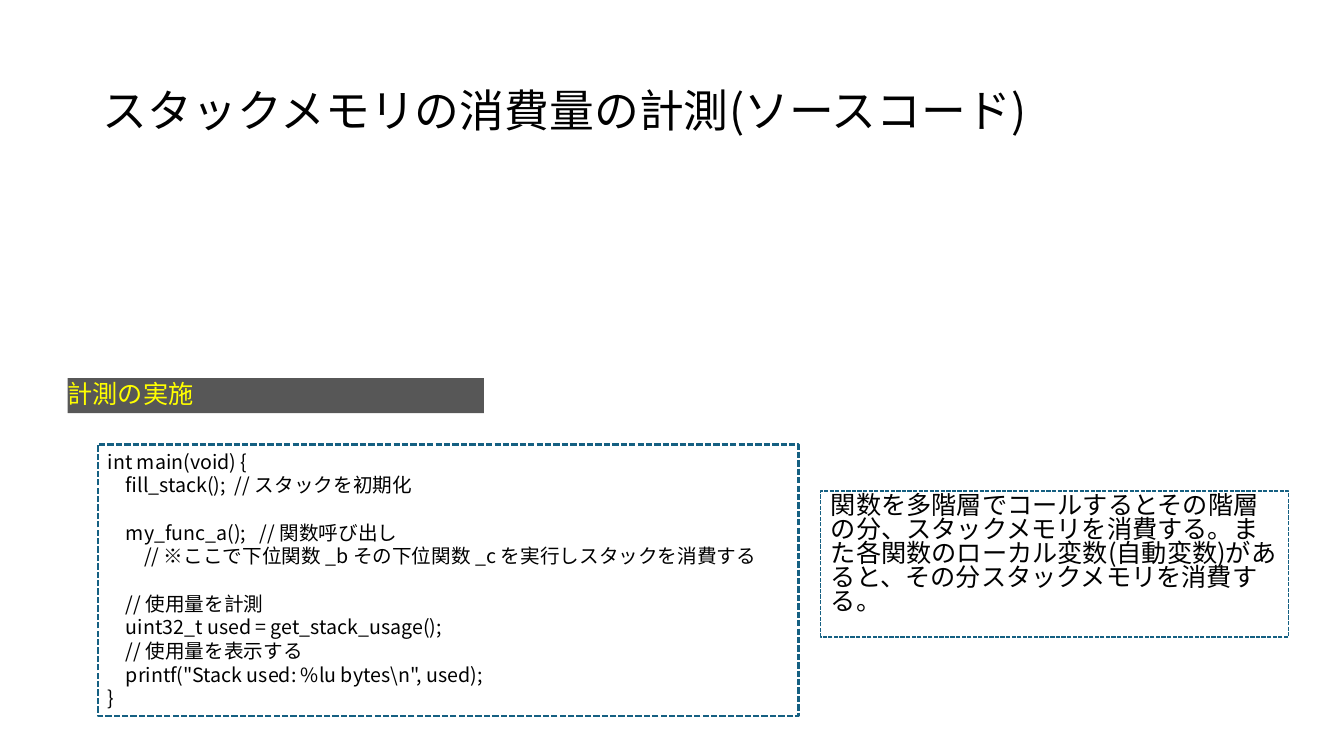
import pptx
import pptx.util
import pptx.dml.color
import pptx.enum.dml
import pptx.enum.shapes
import pptx.enum.text
import lxml.etree
from dataclasses import dataclass

Pt, Inches = pptx.util.Pt, pptx.util.Inches
RGB = pptx.dml.color.RGBColor.from_string
ANCHOR = pptx.enum.text.MSO_ANCHOR

TITLE = "スタックメモリの消費量の計測(ソースコード)"
LABEL = "計測の実施"
NOTE = ("関数を多階層でコールするとその階層の分、スタックメモリを消費する。"
        "また各関数のローカル変数(自動変数)があると、その分スタックメモリを消費する。")
# (indent level, blank rows above, code)
CODE = [
    (0, 0, "int main(void) {"),
    (1, 0, "fill_stack();  // スタックを初期化"),
    (1, 1, "my_func_a();   // 関数呼び出し"),
    (2, 0, "// ※ここで下位関数 _b その下位関数 _c を実行しスタックを消費する"),
    (1, 1, "// 使用量を計測"),
    (1, 0, "uint32_t used = get_stack_usage();"),
    (1, 0, "// 使用量を表示する"),
    (1, 0, 'printf("Stack used: %lu bytes\\n", used);'),
    (0, 0, "}"),
]


@dataclass(frozen=True)
class Theme:
    font: str = "Noto Sans CJK JP"
    ink: str = "000000"
    label: str = "FFFF00"
    edge: str = "156082"
    head: int = 32
    body: int = 18
    code: int = 14
    row: float = 16.9
    step: float = 0.18


THEME = Theme()
WIDE, HIGH = 13.33, 7.5
AREAS = {  # left, top, width, height in inches
    "title": (0.92, 0.4, 11.5, 1.45),
    "label": (0.67, 3.75, 4.13, 0.35),
    "code": (0.97, 4.41, 6.95, 2.69),
    "note": (8.14, 4.87, 4.64, 1.45),
}


def place(shape, name):
    shape.left, shape.top, shape.width, shape.height = map(Inches, AREAS[name])


def setup(frame, anchor):
    frame.word_wrap = True
    frame.auto_size = pptx.enum.text.MSO_AUTO_SIZE.NONE
    frame.vertical_anchor = anchor


def write(para, text, size, color, pitch, inset=0):
    """Add one run; clear bullets and set the left inset in inches."""
    para.alignment = pptx.enum.text.PP_ALIGN.LEFT
    para.line_spacing = pitch
    run = para.add_run()
    run.text = text
    font = run.font
    font.size, font.name = Pt(size), THEME.font
    font.color.rgb = RGB(color)
    east = lxml.etree.SubElement(font._element, pptx.oxml.ns.qn("a:ea"))
    east.set("typeface", THEME.font)
    props = para._p.get_or_add_pPr()
    props.set("marL", str(Inches(inset)))
    props.set("indent", "0")
    lxml.etree.SubElement(props, pptx.oxml.ns.qn("a:buNone"))


def dash(shape, width):
    shape.fill.background()
    shape.line.color.rgb = RGB(THEME.edge)
    shape.line.width = Pt(width)
    shape.line.dash_style = pptx.enum.dml.MSO_LINE.SQUARE_DOT


def block(slide, name):
    shape = slide.shapes.add_shape(
        pptx.enum.shapes.MSO_SHAPE.RECTANGLE, *map(Inches, AREAS[name]))
    shape.shadow.inherit = False
    return shape


def main():
    deck = pptx.Presentation()
    deck.slide_width, deck.slide_height = Inches(WIDE), Inches(HIGH)
    slide = deck.slides.add_slide(deck.slide_layouts[1])

    title = slide.shapes.title
    place(title, "title")
    setup(title.text_frame, ANCHOR.MIDDLE)
    write(title.text_frame.paragraphs[0], TITLE, THEME.head, THEME.ink, 0.9)

    label = block(slide, "label")
    label.fill.solid()
    label.fill.fore_color.rgb = RGB(THEME.ink)
    tint = label.fill._xPr.find(".//" + pptx.oxml.ns.qn("a:srgbClr"))
    lxml.etree.SubElement(tint, pptx.oxml.ns.qn("a:alpha")).set("val", "66000")
    label.line.fill.background()
    frame = label.text_frame
    setup(frame, ANCHOR.MIDDLE)
    frame.margin_left = frame.margin_right = 0
    frame.margin_top = frame.margin_bottom = 0
    write(frame.paragraphs[0], LABEL, THEME.body, THEME.label, 0.9)

    code = block(slide, "code")
    dash(code, 1.5)
    frame = code.text_frame
    setup(frame, ANCHOR.TOP)
    for i, (level, gap, text) in enumerate(CODE):
        para = frame.add_paragraph() if i else frame.paragraphs[0]
        para.space_before = Pt(gap * THEME.row)
        write(para, text, THEME.code, THEME.ink, Pt(THEME.row),
              level * THEME.step)

    note = slide.placeholders[1]
    place(note, "note")
    dash(note, 1)
    setup(note.text_frame, ANCHOR.TOP)
    para = note.text_frame.paragraphs[0]
    para.space_before = Pt(0)
    write(para, NOTE, THEME.body, THEME.ink, Pt(17.1))

    deck.save("out.pptx")


if __name__ == "__main__":
    main()
